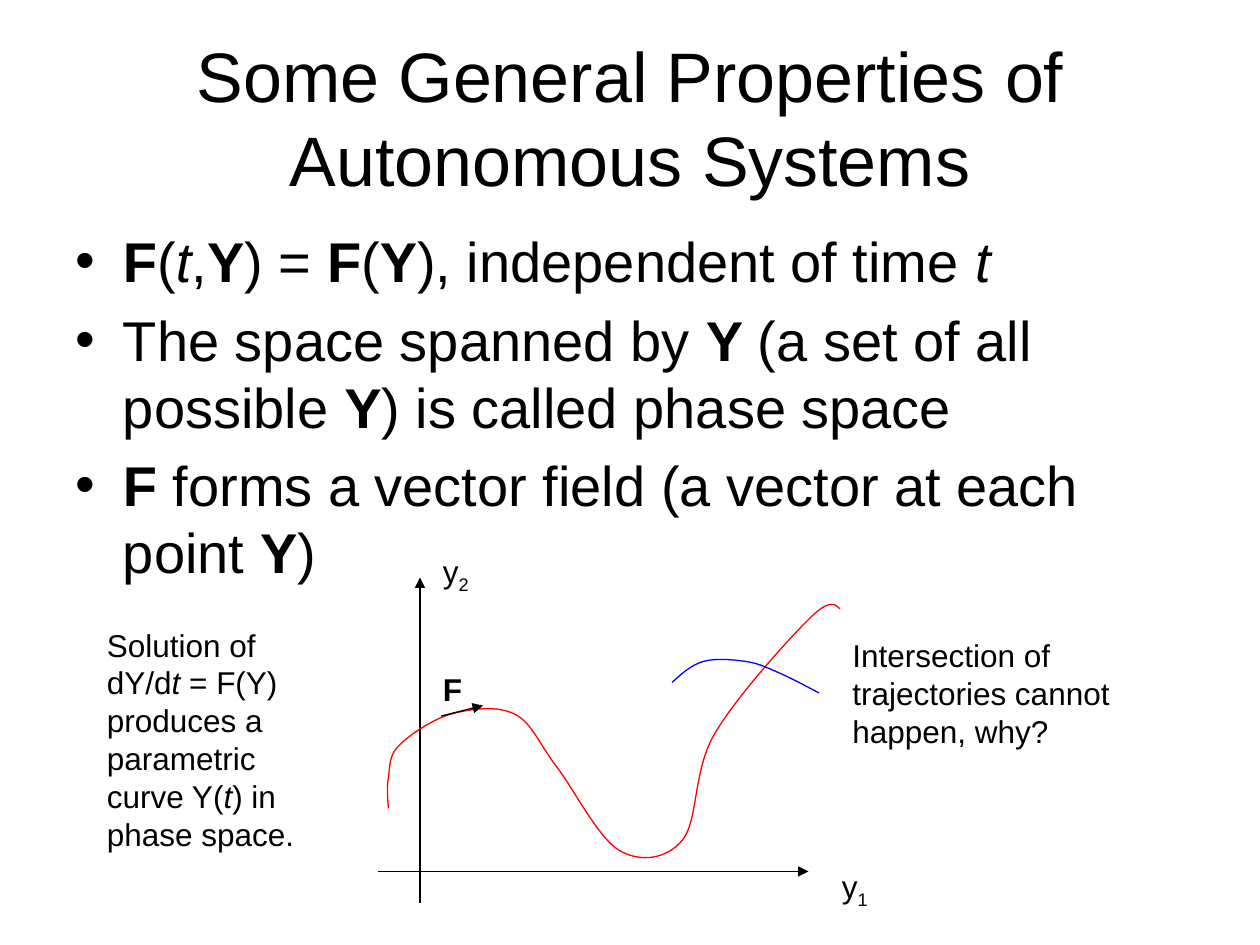
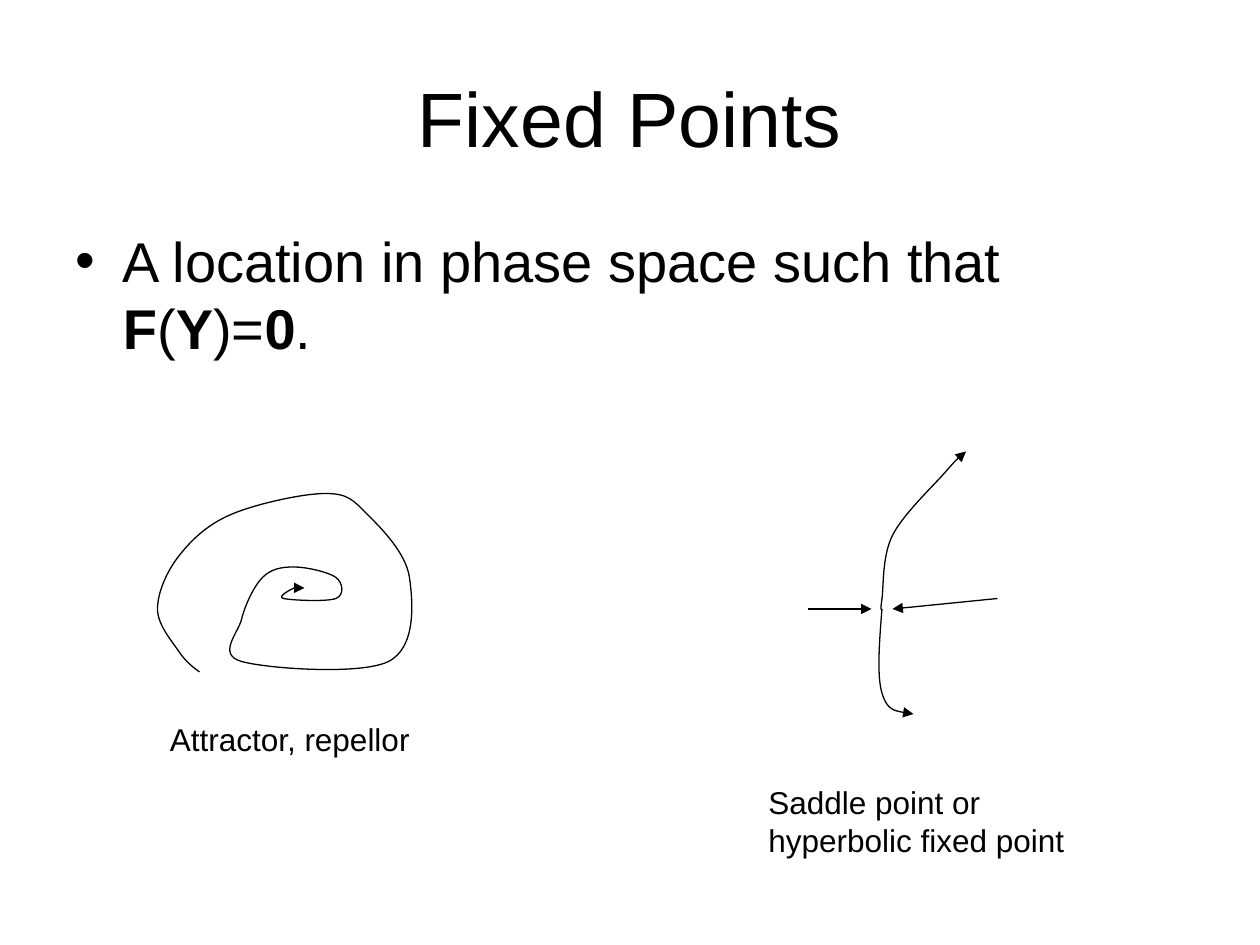
"""Build two slides on autonomous systems: phase-space trajectories and fixed points."""
from lxml.etree import SubElement
from pptx import Presentation
from pptx.dml.color import RGBColor as RGB
from pptx.enum.shapes import MSO_CONNECTOR as CONN
from pptx.enum.text import MSO_ANCHOR as ANCHOR, PP_ALIGN as ALIGN
from pptx.oxml.ns import qn
from pptx.util import Cm, Pt

COLORS = {"ink": "000000", "trajectory": "FF0000", "crossing": "0000FF"}
GRID = Cm(2.54) / 12

BOLD, ITALIC, SUB = {"bold": True}, {"italic": True}, {"baseline": "-25000"}
F, Y, T = ("F", BOLD), ("Y", BOLD), ("t", ITALIC)

TITLE = {"box": (6, 3.6, 108, 15), "anchor": ANCHOR.MIDDLE, "align": ALIGN.CENTER}
BODY = {"box": (6, 21, 108, 59.4), "size": 32, "bullet": True}

SLIDES = [
    {
        "title": ("Some General Properties of Autonomous Systems", 40),
        "bullets": [
            [F, "(", T, ",", Y, ") = ", F, "(", Y, "), independent of time ", T],
            ["The space spanned by ", ("Y ", BOLD), "(a set of all possible ", Y,
             ") is called phase space"],
            [F, " forms a vector field (a vector at each point ", Y, ")"],
        ],
        "drawing": [
            ("arrow", (36, 83), (77, 83)),
            ("arrow", (40, 86), (40, 55)),
            ("label", (79, 82, 8, 4.8), ["y", ("1", SUB)]),
            ("label", (41, 52, 7, 4.8), ["y", ("2", SUB)]),
            ("curve", "trajectory", False,
             [(37, 77), (37, 74), (38, 71), (43, 68), (49, 68), (53, 73),
              (59, 81), (65, 80), (68, 70), (77, 59), (80, 58)]),
            ("curve", "crossing", False,
             [(64, 65), (67, 63), (71, 63), (74, 64), (78, 66)]),
            ("label", (80, 60, 28, 12),
             ["Intersection of trajectories cannot happen, why?"]),
            ("label", (9, 59, 24, 22.8),
             ["Solution of dY/d", ("t ", ITALIC),
              "= F(Y) produces a parametric curve Y(", T, ") in phase space."]),
            ("arrow", (42, 68.2), (46, 67.2)),
            ("label", (41, 63.2, 7, 4.8), [F]),
        ],
    },
    {
        "title": ("Fixed Points", 44),
        "bullets": [
            ["A location in phase space such that ", F, "(", Y, ")=", ("0", BOLD), "."],
        ],
        "drawing": [
            ("curve", "ink", True,
             [(19, 64), (17, 62), (15, 58), (17, 53), (22, 49), (31, 47),
              (35, 49), (39, 55), (37, 63), (23, 63), (23, 59), (25, 55),
              (28, 54), (32, 55), (32, 57), (27, 57), (28, 56), (29, 56)]),
            ("curve", "ink", True, [(84, 58), (84, 57), (85, 51), (90, 45), (92, 43)]),
            ("curve", "ink", True, [(84, 58), (84, 66), (87, 68)]),
            ("arrow", (77, 58), (83, 58)),
            ("arrow", (95, 57), (85, 58)),
            ("label", (15, 68, 26, 4.8), ["Attractor, repellor"]),
            ("label", (72, 74, 33, 8.4), ["Saddle point or hyperbolic fixed point"]),
        ],
    },
]


def grid(*values):
    return [round(v * GRID) for v in values]


def add_bullet(p):
    pPr = p._p.get_or_add_pPr()
    pPr.set("marL", str(Cm(0.96)))
    pPr.set("indent", str(-Cm(0.96)))
    p.space_before = Pt(6.4)
    SubElement(pPr, qn("a:buFont")).set("typeface", "Arial")
    SubElement(pPr, qn("a:buChar")).set("char", "•")


def add_run(p, text, size, style):
    r = p.add_run()
    r.text = text
    r.font.color.rgb = RGB.from_string(COLORS["ink"])
    for name, value in {"name": "Arial", "size": Pt(size), **style}.items():
        if name == "baseline":
            r._r.get_or_add_rPr().set(name, value)
        else:
            setattr(r.font, name, value)


def add_text(s, paragraphs, box, size=18, anchor=ANCHOR.TOP, align=ALIGN.LEFT, bullet=False):
    tf = s.shapes.add_textbox(*grid(*box)).text_frame
    tf.word_wrap = True
    tf.vertical_anchor = anchor
    for i, runs in enumerate(paragraphs):
        p = tf.add_paragraph() if i else tf.paragraphs[0]
        p.alignment = align
        if bullet:
            add_bullet(p)
        for run in runs:
            text, style = (run, {}) if isinstance(run, str) else run
            add_run(p, text, size, style)


def add_label(s, box, runs):
    add_text(s, [runs], box)


def style_line(sp, color, arrow):
    sp.line.color.rgb = RGB.from_string(COLORS[color])
    sp.line.width = Pt(0.75)
    if arrow:
        SubElement(sp.line._get_or_add_ln(), qn("a:tailEnd")).set("type", "triangle")


def add_arrow(s, start, end):
    sp = s.shapes.add_connector(CONN.STRAIGHT, *grid(*start, *end))
    style_line(sp, "ink", True)
    SubElement(sp._element.spPr, qn("a:effectLst"))


def midpoint(a, b):
    return tuple((u + v) / 2 for u, v in zip(a, b))


def handle(points, i, sign):
    """Return the Bezier handle after (1) or before (-1) an inner point."""
    return tuple(p + sign * (n - q) / 6
                 for q, p, n in zip(points[i - 1], points[i], points[i + 1]))


def bezier_points(points):
    """Return two handles and an end point for each stretch of a smooth curve."""
    last = len(points) - 1
    out = []
    for i in range(last):
        start, end = points[i], points[i + 1]
        after = handle(points, i, 1) if i else None
        before = handle(points, i + 1, -1) if i + 1 < last else midpoint(after, end)
        out += [after or midpoint(start, before), before, end]
    return out


def add_curve(s, color, arrow, points):
    fb = s.shapes.build_freeform(*grid(*points[0]))
    fb.add_line_segments([grid(*point) for point in bezier_points(points)], close=False)
    sp = fb.convert_to_shape()
    lines = list(sp._element.iter(qn("a:lnTo")))
    outline = lines[0].getparent()
    for i in range(0, len(lines), 3):
        cubic = SubElement(outline, qn("a:cubicBezTo"))
        for line in lines[i:i + 3]:
            cubic.append(line[0])
            outline.remove(line)
    sp.shadow.inherit = False
    sp.fill.background()
    style_line(sp, color, arrow)


DRAW = {"arrow": add_arrow, "curve": add_curve, "label": add_label}


def main():
    prs = Presentation()
    prs.slide_width, prs.slide_height = Cm(25.4), Cm(19.05)
    for content in SLIDES:
        s = prs.slides.add_slide(prs.slide_layouts[6])
        title, size = content["title"]
        add_text(s, [[title]], size=size, **TITLE)
        add_text(s, content["bullets"], **BODY)
        for kind, *details in content["drawing"]:
            DRAW[kind](s, *details)
    prs.save("out.pptx")


if __name__ == "__main__":
    main()
